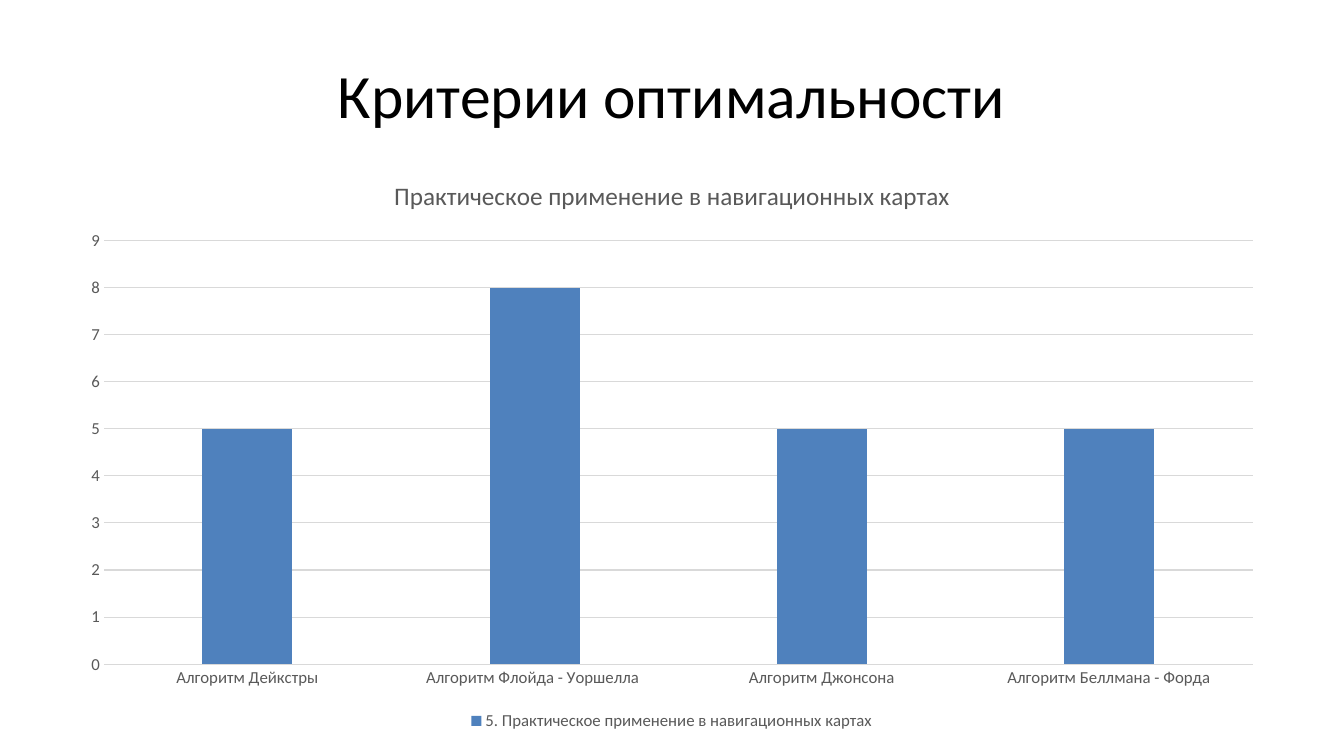
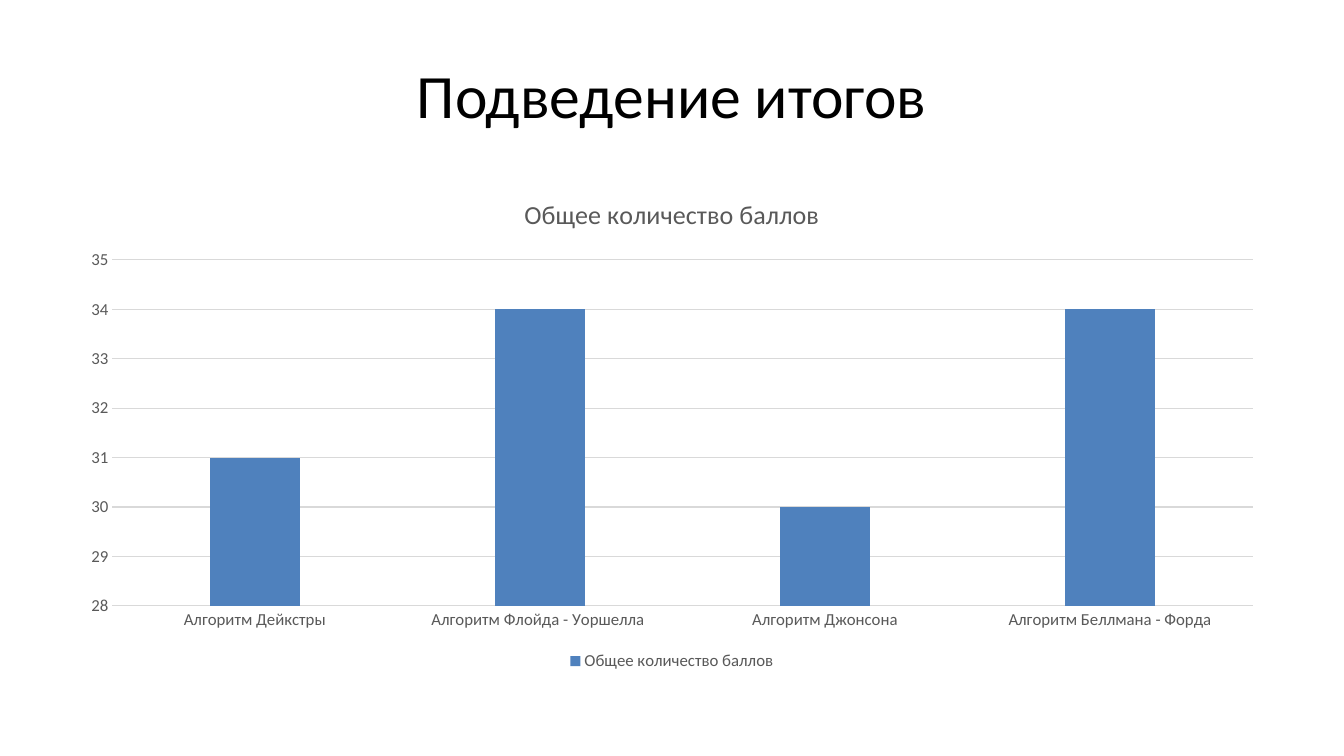
from dataclasses import dataclass

from pptx import Presentation
from pptx.chart.data import CategoryChartData
from pptx.dml.color import RGBColor
from pptx.enum.chart import XL_CHART_TYPE, XL_LEGEND_POSITION, XL_TICK_MARK
from pptx.enum.text import MSO_ANCHOR, PP_ALIGN
from pptx.util import Pt

PX = 9525
COLUMN = XL_CHART_TYPE.COLUMN_CLUSTERED
BOTTOM = XL_LEGEND_POSITION.BOTTOM
NO_TICK = XL_TICK_MARK.NONE
MIDDLE = MSO_ANCHOR.MIDDLE
CENTER = PP_ALIGN.CENTER


@dataclass(frozen=True)
class Theme:
    font: str = "Calibri"
    ink: str = "000000"
    gray: str = "595959"
    grid: str = "D9D9D9"
    bar: str = "4F81BD"
    paper: str = "FFFFFF"
    head: float = 44
    label: float = 12
    rule: float = 0.75


THEME = Theme()
WIDTH, HEIGHT = 1280, 720
HEAD_BOX = (64, 29, 1152, 120)
NAMES = (
    "Алгоритм Дейкстры",
    "Алгоритм Флойда - Уоршелла ",
    "Алгоритм Джонсона",
    "Алгоритм Беллмана - Форда",
)
PAGES = (
    dict(
        head="Критерии оптимальности",
        box=(64, 149, 1152, 551),
        title="Практическое применение в навигационных картах",
        size=18,
        series="5. Практическое применение в навигационных картах",
        values=(5, 8, 5, 5),
        span=(0, 9),
    ),
    dict(
        head="Подведение итогов",
        box=(64, 168, 1152, 475),
        title="Общее количество баллов",
        size=18.6,
        series="Общее количество баллов",
        values=(31, 34, 30, 34),
        span=(28, 35),
    ),
)


def emu(box):
    return [n * PX for n in box]


def style(font, size, color):
    font.name = THEME.font
    font.size = Pt(size)
    font.bold = False
    font.color.rgb = RGBColor.from_string(color)


def write(frame, text, *, size, color, align=CENTER):
    para = frame.paragraphs[0]
    para.alignment = align
    run = para.add_run()
    run.text = text
    style(run.font, size, color)


def rule(line):
    line.color.rgb = RGBColor.from_string(THEME.grid)
    line.width = Pt(THEME.rule)


def add_head(slide, box, text):
    frame = slide.shapes.add_textbox(*emu(box)).text_frame
    frame.word_wrap = True
    frame.vertical_anchor = MIDDLE
    write(frame, text, size=THEME.head, color=THEME.ink)


def add_bars(slide, box, title, size, series, values, span):
    data = CategoryChartData()
    data.categories = NAMES
    data.add_series(series, values)
    chart = slide.shapes.add_chart(COLUMN, *emu(box), data).chart
    style(chart.font, THEME.label, THEME.gray)

    chart.has_title = True
    write(chart.chart_title.text_frame, title, size=size, color=THEME.gray)
    chart.chart_title.include_in_layout = False

    chart.has_legend = True
    chart.legend.position = BOTTOM
    chart.legend.include_in_layout = False
    style(chart.legend.font, THEME.label, THEME.gray)

    for axis in (chart.category_axis, chart.value_axis):
        axis.major_tick_mark = axis.minor_tick_mark = NO_TICK
        style(axis.tick_labels.font, THEME.label, THEME.gray)
    rule(chart.category_axis.format.line)
    scale = chart.value_axis
    scale.minimum_scale, scale.maximum_scale = span
    scale.major_unit = 1
    scale.format.line.fill.background()
    scale.has_major_gridlines = True
    rule(scale.major_gridlines.format.line)

    plot = chart.plots[0]
    plot.vary_by_categories = False
    plot.gap_width = 219
    plot.overlap = -27
    fill = plot.series[0].format.fill
    fill.solid()
    fill.fore_color.rgb = RGBColor.from_string(THEME.bar)


def add_page(deck, head, **chart):
    slide = deck.slides.add_slide(deck.slide_layouts[6])
    fill = slide.background.fill
    fill.solid()
    fill.fore_color.rgb = RGBColor.from_string(THEME.paper)
    add_head(slide, HEAD_BOX, head)
    add_bars(slide, **chart)


def main():
    deck = Presentation()
    deck.slide_width, deck.slide_height = emu((WIDTH, HEIGHT))
    for page in PAGES:
        add_page(deck, **page)
    deck.save("out.pptx")


if __name__ == "__main__":
    main()
